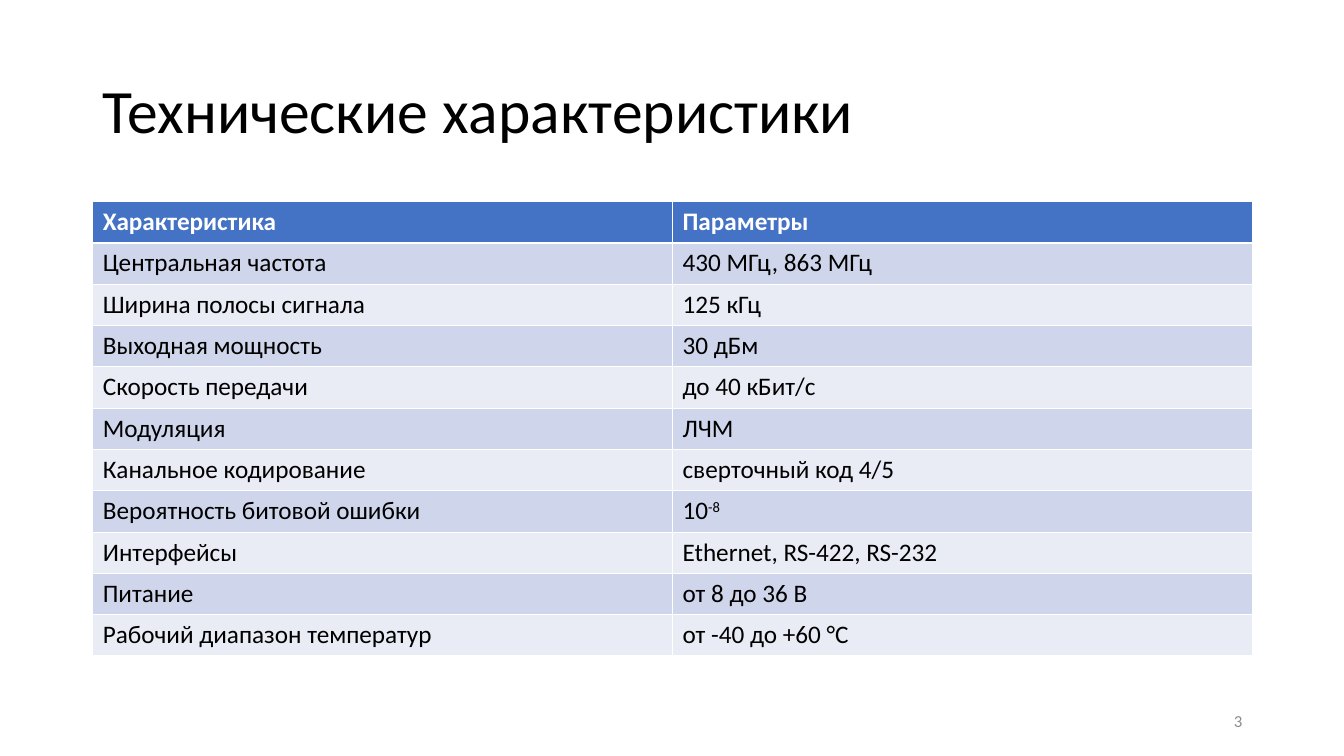
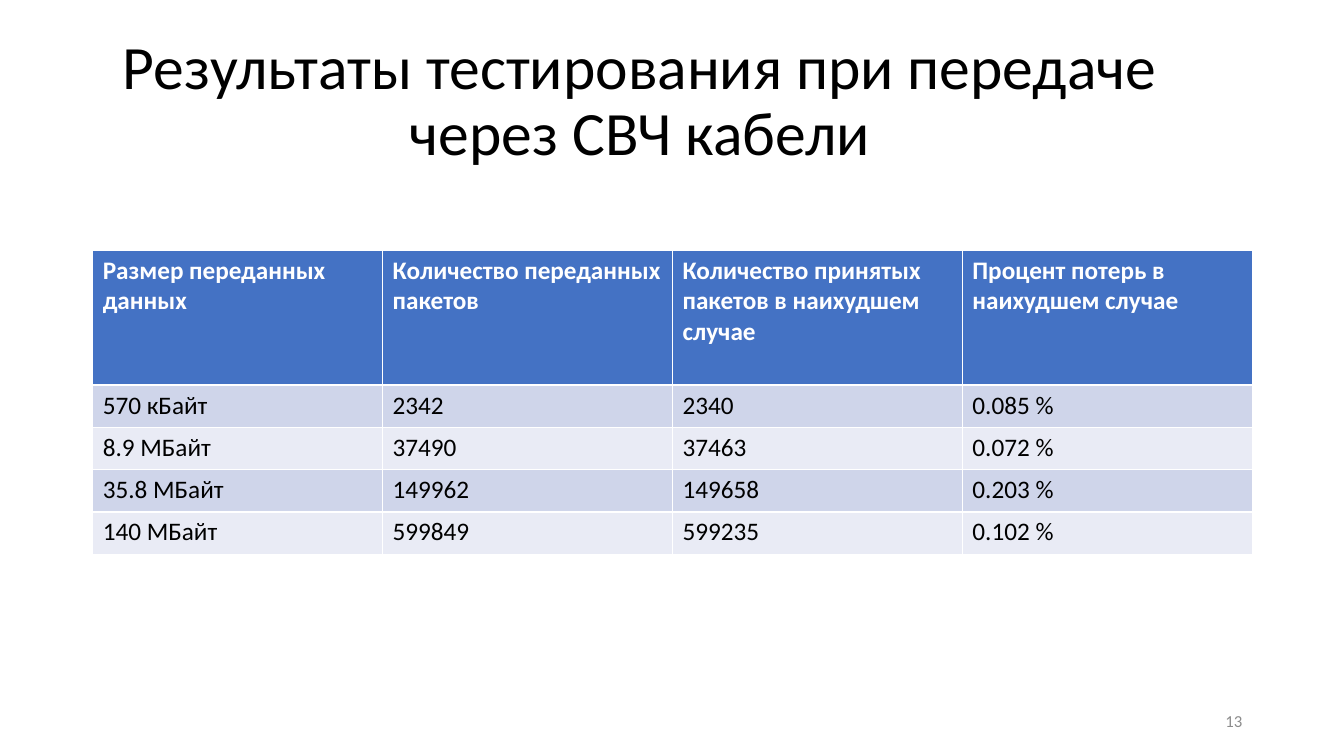
from pptx import Presentation
from pptx import util as u
from pptx.dml.color import RGBColor
from pptx.enum import text

BLACK = RGBColor(0x00, 0x00, 0x00)
WHITE = RGBColor(0xFF, 0xFF, 0xFF)
GRAY = RGBColor(0x8C, 0x8C, 0x8C)
BLUE = RGBColor(0x44, 0x72, 0xC4)
BANDS = (RGBColor(0xE9, 0xEB, 0xF5), RGBColor(0xCF, 0xD5, 0xEA))

# Shared text formats
ALIGN = text.PP_ALIGN
TITLE = {"size": u.Pt(44), "color": BLACK}
FOOT = {"size": u.Pt(12), "color": GRAY}
HEAD = {"size": u.Pt(18), "color": WHITE, "bold": True}
BODY = {"size": u.Pt(18), "color": BLACK, "bold": False}

# Shared table edges
LEFT, WIDTH = 0.92, 11.5

SPECS = [
    ("Характеристика", "Параметры"),
    ("Центральная частота", "430 МГц, 863 МГц"),
    ("Ширина полосы сигнала", "125 кГц"),
    ("Выходная мощность", "30 дБм"),
    ("Скорость передачи", "до 40 кБит/с"),
    ("Модуляция", "ЛЧМ"),
    ("Канальное кодирование", "сверточный код 4/5"),
    ("Вероятность битовой ошибки", "10^-8"),
    ("Интерфейсы", "Ethernet, RS-422, RS-232"),
    ("Питание", "от 8 до 36 В"),
    ("Рабочий диапазон температур", "от -40 до +60 °C"),
]

TESTS = [
    ("Размер переданных данных", "Количество переданных пакетов",
     "Количество принятых пакетов в наихудшем случае",
     "Процент потерь в наихудшем случае"),
    ("570 кБайт", "2342", "2340", "0.085 %"),
    ("8.9 МБайт", "37490", "37463", "0.072 %"),
    ("35.8 МБайт", "149962", "149658", "0.203 %"),
    ("140 МБайт", "599849", "599235", "0.102 %"),
]


def add_run(para, words, style):
    run = para.add_run()
    run.text = words
    run.font.name = "Calibri"
    for key, value in style.items():
        if key == "color":
            run.font.color.rgb = value
        else:
            setattr(run.font, key, value)
    return run


def add_text(slide, box, words, style, align, spacing=1.0):
    frame = slide.shapes.add_textbox(*map(u.Inches, box)).text_frame
    frame.word_wrap = True
    frame.vertical_anchor = text.MSO_ANCHOR.MIDDLE
    para = frame.paragraphs[0]
    para.alignment = align
    para.line_spacing = spacing
    add_run(para, words, style)


def add_title(slide, left, top, words, align):
    add_text(slide, (left, top, WIDTH, 1.45), words, TITLE, align, 0.9)


def add_number(slide, number):
    add_text(slide, (9.42, 6.95, 3, 0.4), str(number), FOOT, ALIGN.RIGHT)


def fill_cell(cell, words, style, color):
    cell.fill.solid()
    cell.fill.fore_color.rgb = color
    para = cell.text_frame.paragraphs[0]
    # A caret marks a raised exponent
    base, _, power = words.partition("^")
    add_run(para, base, style)
    if power:
        run = add_run(para, power, style)
        run._r.get_or_add_rPr().set("baseline", "30000")


def add_grid(slide, top, data, first, step):
    # White cell borders come from the default table style
    heights = [first] + [step] * (len(data) - 1)
    table = slide.shapes.add_table(
        len(data), len(data[0]), u.Inches(LEFT), u.Inches(top),
        u.Inches(WIDTH), u.Inches(sum(heights))).table
    for r, (row, height) in enumerate(zip(data, heights)):
        table.rows[r].height = u.Inches(height)
        style, color = (BODY, BANDS[r % 2]) if r else (HEAD, BLUE)
        for c, words in enumerate(row):
            fill_cell(table.cell(r, c), words, style, color)


def main():
    deck = Presentation()
    deck.slide_width, deck.slide_height = u.Inches(13.33), u.Inches(7.5)
    blank = deck.slide_layouts[6]

    # Technical characteristics
    slide = deck.slides.add_slide(blank)
    add_title(slide, LEFT, 0.4, "Технические характеристики", ALIGN.LEFT)
    add_grid(slide, 2, SPECS, 0.41, 0.41)
    add_number(slide, 3)

    # Test results
    slide = deck.slides.add_slide(blank)
    add_title(slide, 0.6, 0.29,
              "Результаты тестирования при передаче через СВЧ кабели",
              ALIGN.CENTER)
    add_grid(slide, 2.48, TESTS, 1.34, 0.42)
    add_number(slide, 13)

    deck.save("out.pptx")


if __name__ == "__main__":
    main()
